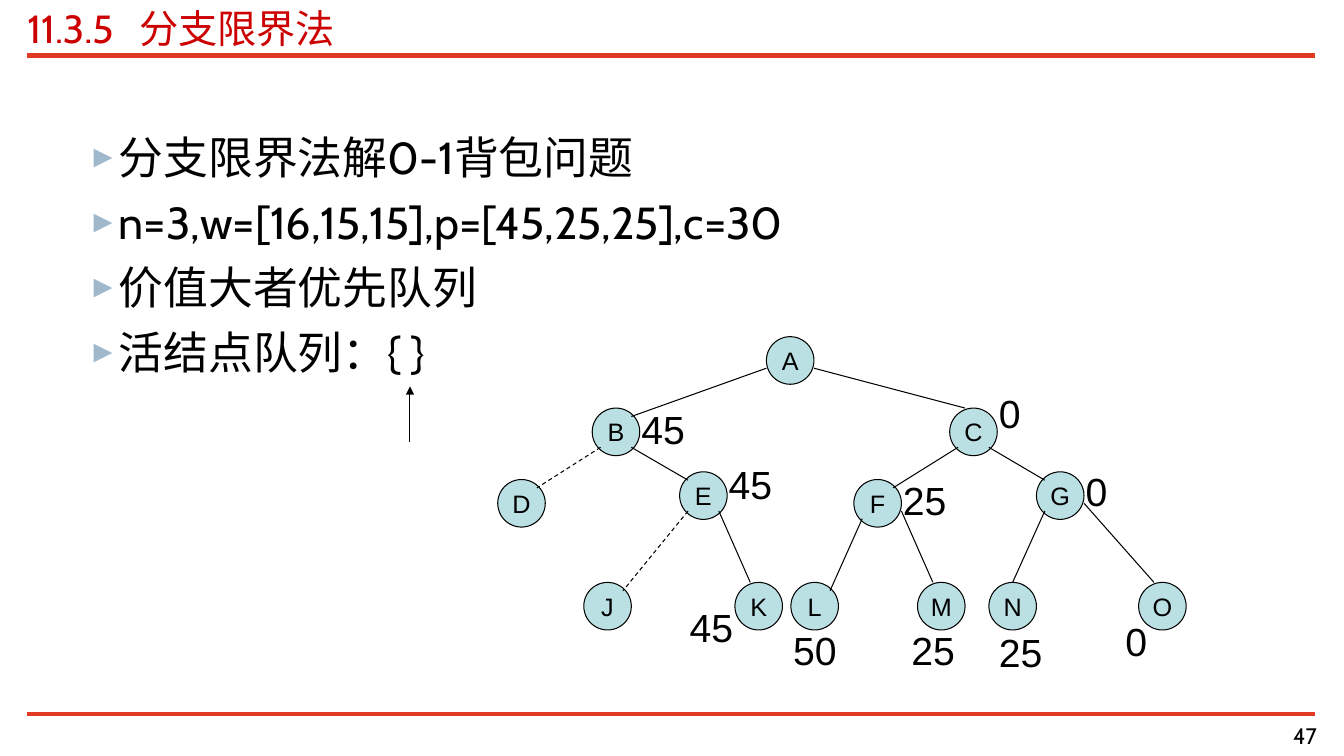
from dataclasses import dataclass

from lxml import etree
from pptx import Presentation
from pptx.dml.color import RGBColor
from pptx.enum import dml, shapes, text
from pptx.oxml import ns
from pptx.util import Pt


@dataclass(frozen=True)
class Theme:
    rule: RGBColor = RGBColor(0xE1, 0x3A, 0x23)
    title: RGBColor = RGBColor(0xCC, 0x00, 0x00)
    ink: RGBColor = RGBColor(0, 0, 0)
    node: RGBColor = RGBColor(0xBB, 0xE0, 0xE3)
    bullet: str = "9FB8CC"
    text_font: str = "Cabin"
    tree_font: str = "Arial"
    title_size: int = 28
    body_size: int = 32
    node_size: int = 18
    value_size: int = 28
    number_size: int = 16
    hairline: float = 0.75


THEME = Theme()
RADIUS = 17

BULLETS = [
    "分支限界法解0-1背包问题",
    "n=3,w=[16,15,15],p=[45,25,25],c=30",
    "价值大者优先队列",
    "活结点队列：{ }",
]

# Node centres, relative to the tree's box
NODES = {
    "A": (209, 17), "B": (84.5, 68), "C": (340, 68),
    "D": (17, 119), "E": (147, 113.5), "F": (271.5, 119), "G": (402, 113.5),
    "J": (78.5, 192.5), "K": (186.5, 192.5), "L": (226.5, 192.5),
    "M": (317, 192.5), "N": (368, 192.5), "O": (475, 192.5),
}

# Points on a node's edge, relative to its centre
SITES = {
    "NW": (-11, -11), "NE": (11, -11), "SW": (-11, 11), "SE": (11, 11),
    "W": (-17, 5.5), "E": (17, 5.5), "N": (0, -17), "NNW": (-6, -17),
}

# Parent, its site, child, its site, dashed
EDGES = [
    ("A", "W", "B", "NE", False), ("A", "E", "C", "NNW", False),
    ("B", "SW", "D", "NE", True), ("B", "SE", "E", "NW", False),
    ("E", "SW", "J", "NE", True), ("E", "SE", "K", "NNW", False),
    ("C", "SW", "F", "NE", False), ("C", "SE", "G", "NW", False),
    ("F", "SW", "L", "NE", False), ("F", "E", "M", "NNW", False),
    ("G", "SW", "N", "N", False), ("G", "E", "O", "NNW", False),
]

# Node, value, offset of the value's box from the node's centre
VALUES = [
    ("B", "45", 11, -22.5), ("C", "0", 11, -34), ("E", "45", 11, -28.5),
    ("F", "25", 11, -22.5), ("G", "0", 11, -24), ("K", "45", -56.5, -5.5),
    ("L", "50", -22.5, 10.5), ("M", "25", -28.5, 10.5),
    ("N", "25", -17, 12), ("O", "0", -33.5, 4.5),
]


def style(para, font, size, color):
    para.font.name = font
    para.font.size = Pt(size)
    para.font.color.rgb = color


def clear_margins(frame):
    frame.margin_left = frame.margin_right = frame.margin_top = frame.margin_bottom = 0


def add_line(page, start, end, color=THEME.ink, width=THEME.hairline):
    line = page.shapes.add_connector(
        shapes.MSO_CONNECTOR.STRAIGHT, *(Pt(value) for value in (*start, *end)))
    line.line.color.rgb = color
    line.line.width = Pt(width)
    etree.SubElement(line._element.spPr, ns.qn("a:effectLst"))
    return line


def add_text_box(page, left, top, width, height):
    box = page.shapes.add_textbox(Pt(left), Pt(top), Pt(width), Pt(height))
    box.text_frame.word_wrap = True
    return box.text_frame


def add_title(page, left, top, width, height):
    title = page.shapes.title
    title.left, title.top, title.width, title.height = map(Pt, (left, top, width, height))
    frame = title.text_frame
    clear_margins(frame)
    frame.vertical_anchor = text.MSO_ANCHOR.MIDDLE
    frame.text = "11.3.5\t分支限界法"
    para = frame.paragraphs[0]
    para.alignment = text.PP_ALIGN.LEFT
    tabs = etree.SubElement(para._p.get_or_add_pPr(), ns.qn("a:tabLst"))
    etree.SubElement(tabs, ns.qn("a:tab"), pos=str(Pt(80)), algn="l")
    style(para, THEME.text_font, THEME.title_size, THEME.title)


def add_bullet(para):
    properties = para._p.get_or_add_pPr()
    properties.set("marL", str(Pt(58.3)))
    properties.set("indent", str(-Pt(22.3)))
    color = etree.SubElement(properties, ns.qn("a:buClr"))
    etree.SubElement(color, ns.qn("a:srgbClr"), val=THEME.bullet)
    etree.SubElement(properties, ns.qn("a:buSzPct"), val="70000")
    etree.SubElement(properties, ns.qn("a:buFont"), typeface=THEME.tree_font)
    etree.SubElement(properties, ns.qn("a:buChar"), char="►")


def add_body(page, left, top, width, height):
    frame = add_text_box(page, left, top, width, height)
    for index, words in enumerate(BULLETS):
        para = frame.add_paragraph() if index else frame.paragraphs[0]
        para.text = words
        if index:
            para.space_before = Pt(8)
        add_bullet(para)
        style(para, THEME.text_font, THEME.body_size, THEME.ink)


def add_queue_arrow(page, left, top, height):
    arrow = add_line(page, (left, top), (left, top + height))
    etree.SubElement(arrow.line._get_or_add_ln(), ns.qn("a:headEnd"), type="triangle")


def add_node(page, label, x, y):
    node = page.shapes.add_shape(
        shapes.MSO_SHAPE.OVAL, Pt(x - RADIUS), Pt(y - RADIUS), Pt(2 * RADIUS), Pt(2 * RADIUS))
    node.shadow.inherit = False
    node.fill.solid()
    node.fill.fore_color.rgb = THEME.node
    node.line.color.rgb = THEME.ink
    node.line.width = Pt(THEME.hairline)
    frame = node.text_frame
    frame.word_wrap = False
    frame.vertical_anchor = text.MSO_ANCHOR.MIDDLE
    frame.text = label
    para = frame.paragraphs[0]
    para.alignment = text.PP_ALIGN.CENTER
    style(para, THEME.tree_font, THEME.node_size, THEME.ink)


def add_tree(page, left, top):
    """Draw the search tree with its box's corner at left, top."""
    centres = {name: (left + x, top + y) for name, (x, y) in NODES.items()}

    def site(name, side):
        return tuple(a + b for a, b in zip(centres[name], SITES[side]))

    for name, centre in centres.items():
        add_node(page, name, *centre)
    for parent, parent_side, child, child_side, dashed in EDGES:
        edge = add_line(page, site(parent, parent_side), site(child, child_side))
        if dashed:
            edge.line.dash_style = dml.MSO_LINE.DASH
    for name, value, dx, dy in VALUES:
        x, y = centres[name]
        frame = add_text_box(page, x + dx, y + dy, 54, 41)
        frame.text = value
        style(frame.paragraphs[0], THEME.tree_font, THEME.value_size, THEME.ink)


def add_page_number(page, left, top, width, height):
    frame = add_text_box(page, left, top, width, height)
    clear_margins(frame)
    frame.text = "47"
    para = frame.paragraphs[0]
    para.alignment = text.PP_ALIGN.RIGHT
    style(para, THEME.text_font, THEME.number_size, THEME.ink)


def main():
    deck = Presentation()
    deck.slide_width, deck.slide_height = Pt(960.5), Pt(540)
    page = deck.slides.add_slide(deck.slide_layouts.get_by_name("Title Only"))
    left, width = 19.5, 920
    for y, weight in ((39.6, 4), (509.8, 3)):
        add_line(page, (left, y), (left + width, y), THEME.rule, weight)
    add_title(page, left, 3, width, 34)
    add_body(page, left, 89, width, 418)
    add_queue_arrow(page, 293, 276, 39.5)
    add_tree(page, 355.7, 240.5)
    add_page_number(page, 748, 515.5, 193, 22.5)
    deck.save("out.pptx")


if __name__ == "__main__":
    main()
